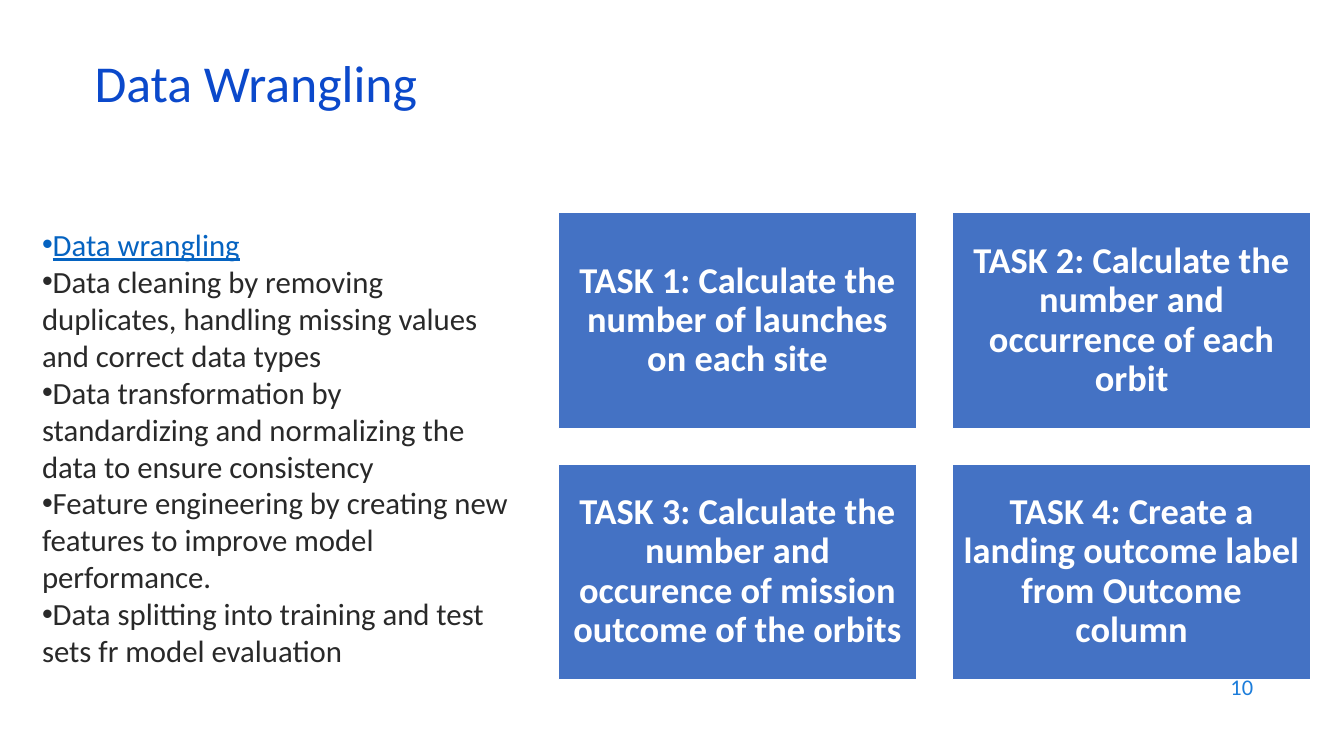
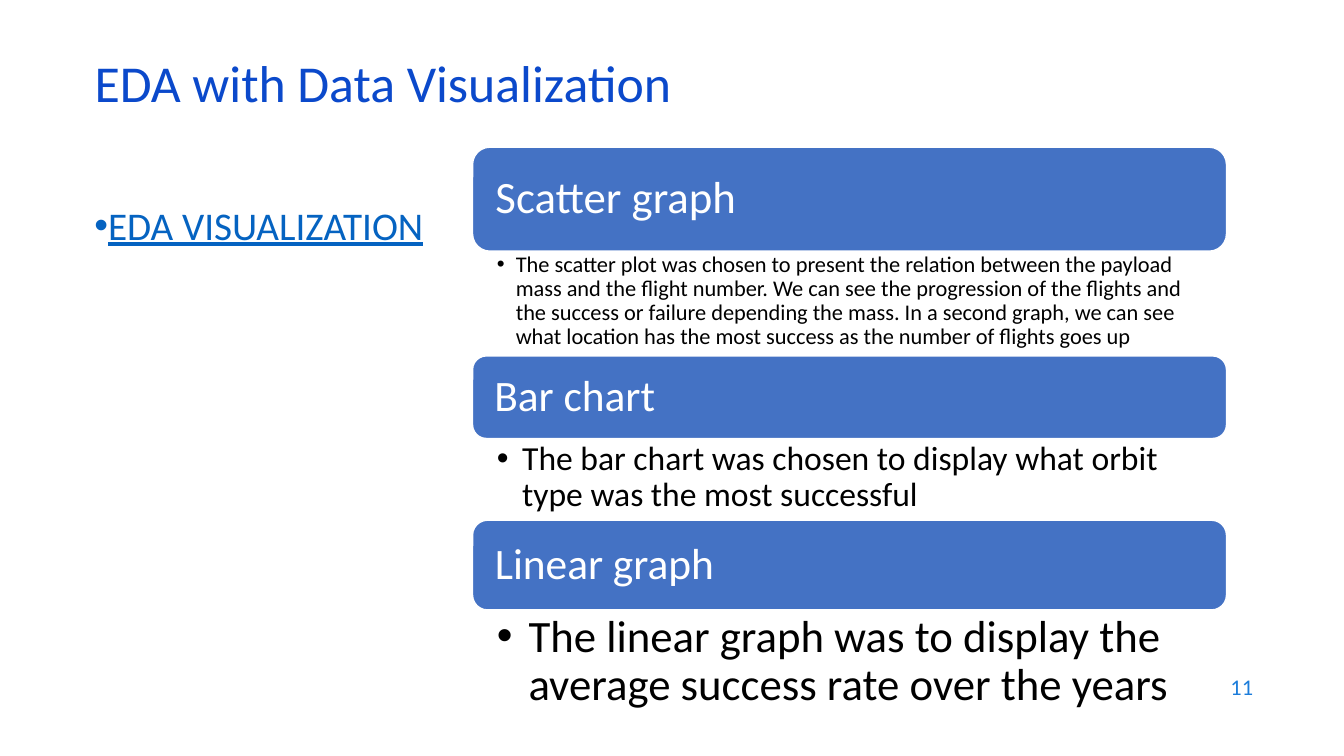
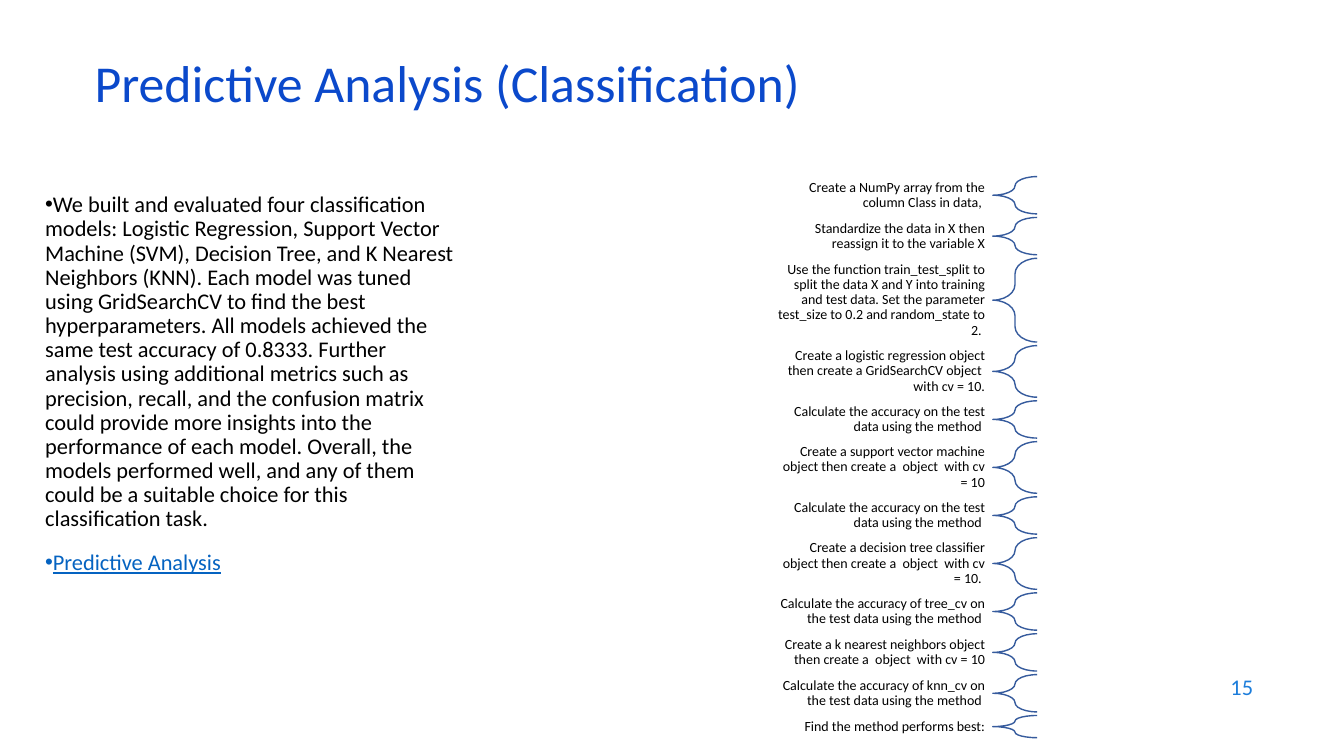
from lxml.etree import SubElement
from pptx import Presentation
from pptx.dml.color import RGBColor
from pptx.enum.shapes import MSO_SHAPE
from pptx.enum.text import MSO_ANCHOR, MSO_AUTO_SIZE, PP_ALIGN
from pptx.oxml.ns import qn
from pptx.util import Cm, Pt

FONT = "Calibri"
TITLE = RGBColor(0x0B, 0x49, 0xCB)
NUMBER = RGBColor(0x1C, 0x7D, 0xDB)
LINK = RGBColor(0x05, 0x63, 0xC1)
INK = RGBColor(0x29, 0x29, 0x29)
BLACK = RGBColor(0, 0, 0)
WHITE = RGBColor(255, 255, 255)
BLUE = RGBColor(0x44, 0x72, 0xC4)
BRACE = RGBColor(0x36, 0x5B, 0x9D)

TASKS = [
    "TASK 1: Calculate the number of launches on each site",
    "TASK 2: Calculate the number and occurrence of each orbit",
    "TASK 3: Calculate the number and occurence of mission outcome of the orbits",
    "TASK 4: Create a landing outcome label from Outcome column",
]
WRANGLING = [
    "Data cleaning by removing duplicates, handling missing values and correct data types",
    "Data transformation by standardizing and normalizing the data to ensure consistency",
    "Feature engineering by creating new features to improve model performance.",
    "Data splitting into training and test sets fr model evaluation",
]
# heading, heading size, heading height, note, note size, note height
GRAPHS = [
    ("Scatter graph", 32, 2.62,
     "The scatter plot was chosen to present the relation between the payload mass "
     "and the flight number. We can see the progression of the flights and the "
     "success or failure depending the mass. In a second graph, we can see what "
     "location has the most success as the number of flights goes up", 16, 2.64),
    ("Bar chart", 31, 2.08,
     "The bar chart was chosen to display what orbit type was the most successful",
     24, 2.06),
    ("Linear graph", 31, 2.26,
     "The linear graph was to display the average success rate over the years",
     32, 2.72),
]
SUMMARY = (
    "We built and evaluated four classification models: Logistic Regression, Support "
    "Vector Machine (SVM), Decision Tree, and K Nearest Neighbors (KNN). Each model "
    "was tuned using GridSearchCV to find the best hyperparameters. All models "
    "achieved the same test accuracy of 0.8333. Further analysis using additional "
    "metrics such as precision, recall, and the confusion matrix could provide more "
    "insights into the performance of each model. Overall, the models performed well, "
    "and any of them could be a suitable choice for this classification task."
)
# step and its number of text lines
STEPS = [
    ("Create a NumPy array from the column Class in data, ", 2),
    ("Standardize the data in X then reassign it to the variable X", 2),
    ("Use the function train_test_split to split the data X and Y into training and "
     "test data. Set the parameter test_size to 0.2 and random_state to 2. ", 5),
    ("Create a logistic regression object then create a GridSearchCV "
     "object  with cv = 10.", 3),
    ("Calculate the accuracy on the test data using the method ", 2),
    ("Create a support vector machine object then create a  object  with cv = 10", 3),
    ("Calculate the accuracy on the test data using the method ", 2),
    ("Create a decision tree classifier object then create a  object  with cv = 10. ", 3),
    ("Calculate the accuracy of tree_cv on the test data using the method ", 2),
    ("Create a k nearest neighbors object then create a  object  with cv = 10", 2),
    ("Calculate the accuracy of knn_cv on the test data using the method ", 2),
    ("Find the method performs best:", 1),
]
STEP_HEIGHT = {1: 0.56, 2: 0.94, 3: 1.3, 5: 2.11}


def style(para, size, color, align=PP_ALIGN.LEFT, line=0.9, bold=False):
    para.alignment = align
    para.line_spacing = line
    for run in para.runs:
        font = run.font
        font.name, font.size, font.bold = FONT, Pt(size), bold
        font.color.rgb = color


def bullet(para, hang=0):
    props = para._p.get_or_add_pPr()
    props.set("marL", str(Cm(hang)))
    props.set("indent", str(-Cm(hang)))
    SubElement(props, qn("a:buFont")).set("typeface", "Arial")
    SubElement(props, qn("a:buChar")).set("char", "•")


def inset(frame, left, top, right, bottom):
    frame.margin_left, frame.margin_top = Cm(left), Cm(top)
    frame.margin_right, frame.margin_bottom = Cm(right), Cm(bottom)


def add_text(slide, box, text="", anchor=MSO_ANCHOR.TOP):
    frame = slide.shapes.add_textbox(*map(Cm, box)).text_frame
    frame.word_wrap = True
    frame.vertical_anchor = anchor
    frame.text = text
    return frame


def add_block(slide, kind, box, text):
    """Blue shape with a white outline and its own text."""
    shape = slide.shapes.add_shape(kind, *map(Cm, box))
    shape.shadow.inherit = False
    shape.fill.solid()
    shape.fill.fore_color.rgb = BLUE
    shape.line.color.rgb = WHITE
    shape.line.width = Pt(1)
    frame = shape.text_frame
    frame.word_wrap = True
    frame.vertical_anchor = MSO_ANCHOR.MIDDLE
    frame.text = text
    return frame


def add_brace(slide, box):
    brace = slide.shapes.add_shape(MSO_SHAPE.LEFT_BRACE, *map(Cm, box))
    brace.shadow.inherit = False
    brace.adjustments[0] = 0.35
    brace.fill.background()
    brace.line.color.rgb = BRACE
    brace.line.width = Pt(1)


def add_list(slide, box, items, size, line=0.9, gap=0):
    """Bulleted body text; items are (text, colour), link-coloured ones underlined."""
    frame = add_text(slide, box)
    for index, (text, color) in enumerate(items):
        para = frame.add_paragraph() if index else frame.paragraphs[0]
        para.text = text
        bullet(para)
        style(para, size, color, line=line)
        para.space_before = Pt(gap if index else 0)
        para.runs[0].font.underline = color == LINK


def new_slide(deck, title, number):
    slide = deck.slides.add_slide(deck.slide_layouts[5])
    head = slide.shapes.title
    head.left, head.top, head.width, head.height = map(Cm, (2.13, 1.5, 29.21, 1.52))
    frame = head.text_frame
    frame.text = title
    frame.auto_size = MSO_AUTO_SIZE.NONE
    frame.vertical_anchor = MSO_ANCHOR.MIDDLE
    style(frame.paragraphs[0], 37, TITLE, line=0.7)
    foot = add_text(slide, (24.21, 16.74, 7.62, 1.12), str(number), MSO_ANCHOR.MIDDLE)
    style(foot.paragraphs[0], 16, NUMBER, PP_ALIGN.RIGHT, 1)
    return slide


def add_tasks(slide):
    wide, high, gap = 9.04, 5.44, 0.89
    for index, task in enumerate(TASKS):
        row, col = divmod(index, 2)
        box = (14.07 + col * (wide + gap), 5.36 + row * (high + gap), wide, high)
        frame = add_block(slide, MSO_SHAPE.RECTANGLE, box, task)
        inset(frame, 0.25, 0.25, 0.25, 0.25)
        style(frame.paragraphs[0], 26, WHITE, PP_ALIGN.CENTER, bold=True)


def add_graphs(slide):
    left, top, wide = 11.91, 3.71, 19
    for name, size, high, note, note_size, note_high in GRAPHS:
        frame = add_block(slide, MSO_SHAPE.ROUNDED_RECTANGLE, (left, top, wide, high), name)
        inset(frame, 0.45, 0.3, 0.45, 0.3)
        style(frame.paragraphs[0], size, WHITE)
        top += high
        frame = add_text(slide, (left, top, wide, note_high), note)
        edge = 0.003 * note_size
        inset(frame, 0.61, edge, 0.02 * note_size, edge)
        bullet(frame.paragraphs[0], 0.16 + 0.02 * note_size)
        style(frame.paragraphs[0], note_size, BLACK)
        top += note_high


def add_steps(slide):
    left, top, wide, gap = 19.38, 4.45, 5.64, 0.09
    for step, lines in STEPS:
        high = STEP_HEIGHT[lines]
        frame = add_text(slide, (left, top, wide, high), step, MSO_ANCHOR.MIDDLE)
        inset(frame, 0.2, 0.08, 0.2, 0.08)
        style(frame.paragraphs[0], 10, BLACK, PP_ALIGN.RIGHT)
        add_brace(slide, (left + wide, top, 1.12, high))
        top += high + gap


def main():
    deck = Presentation()
    deck.slide_width, deck.slide_height = Cm(33.87), Cm(19.05)

    slide = new_slide(deck, "Data Wrangling", 10)
    items = [("Data wrangling", LINK)] + [(text, INK) for text in WRANGLING]
    add_list(slide, (0.81, 5.56, 12.29, 11.2), items, 22, line=1)
    add_tasks(slide)

    slide = new_slide(deck, "EDA with Data Visualization", 11)
    add_list(slide, (2.13, 5.08, 9.5, 12.09), [("EDA VISUALIZATION", LINK)], 28)
    add_graphs(slide)

    slide = new_slide(deck, "Predictive Analysis (Classification)", 15)
    items = [(SUMMARY, BLACK), ("Predictive Analysis", LINK)]
    add_list(slide, (0.89, 4.75, 10.82, 12.09), items, 16, gap=14)
    add_steps(slide)

    deck.save("out.pptx")


if __name__ == "__main__":
    main()
